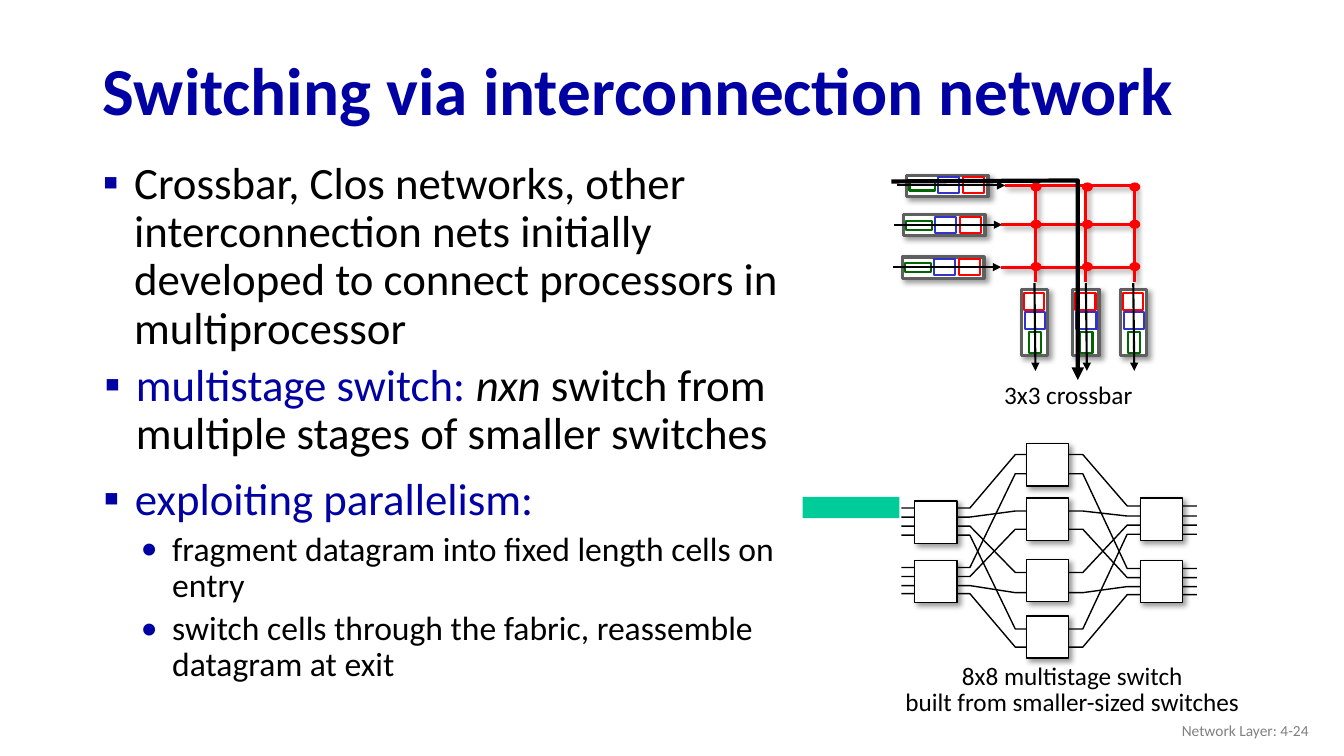
from dataclasses import dataclass
from itertools import product

from lxml import etree
from pptx import Presentation
from pptx import util as u
from pptx.dml.color import RGBColor
from pptx.enum import shapes as kinds, text as layout
from pptx.oxml import ns


@dataclass(frozen=True)
class Theme:
    font: str = "Calibri"
    navy: str = "0000A3"
    black: str = "000000"
    white: str = "FFFFFF"
    grey: str = "808080"
    frame: str = "5F5F5F"
    red: str = "FF0000"
    blue: str = "3333CC"
    green: str = "006600"
    cell: str = "00CC99"
    title_size: int = 48
    list_size: int = 32
    sublist_size: int = 24
    caption_size: int = 18
    footer_size: int = 11


# Square grid: 133.3 columns by 75 rows
COLUMNS, ROWS = 133.3, 75
WIDTH, HEIGHT = u.Inches(13.33), u.Inches(7.5)


def set_format(target, values):
    for name, value in values.items():
        setattr(target, name, value)


def add_xml(parent, tag, **attributes):
    return etree.SubElement(parent, ns.qn(tag), attributes)


class Canvas:
    """Draws on one slide, in grid columns and rows, with one theme."""

    def __init__(self, slide, theme):
        self.slide, self.theme = slide, theme
        self.shapes = slide.shapes

    def start_group(self):
        self.shapes = self.slide.shapes.add_group_shape().shapes

    def end_group(self):
        self.shapes = self.slide.shapes

    def point(self, column, row):
        return round(column / COLUMNS * WIDTH), round(row / ROWS * HEIGHT)

    def frame(self, column, row, columns, rows):
        return *self.point(column, row), *self.point(columns, rows)

    def place(self, shape, box):
        set_format(shape, dict(zip(("left", "top", "width", "height"), self.frame(*box))))
        return shape

    # Outlines and effects
    def stroke(self, shape, color, width, arrow=False):
        shape.line.color.rgb = RGBColor.from_string(color)
        shape.line.width = u.Pt(width)
        if arrow:
            line = shape._element.spPr.find(ns.qn("a:ln"))
            add_xml(line, "a:tailEnd", type="triangle")

    def add_shadow(self, effects):
        shadow = add_xml(effects, "a:outerShdw", blurRad=str(u.Pt(4)), dist=str(u.Pt(3)),
                         dir="2700000", algn="ctr", rotWithShape="0")
        color = add_xml(shadow, "a:srgbClr", val=self.theme.black)
        add_xml(color, "a:alpha", val="40000")

    # Drawing elements
    def box(self, box, fill, line=None, width=1, shadow=False, rotation=0, oval=False):
        kind = kinds.MSO_SHAPE.OVAL if oval else kinds.MSO_SHAPE.RECTANGLE
        shape = self.shapes.add_shape(kind, *self.frame(*box))
        shape.rotation = rotation
        shape.fill.solid()
        shape.fill.fore_color.rgb = RGBColor.from_string(fill)
        if line:
            self.stroke(shape, line, width)
        else:
            shape.line.fill.background()
        shape.shadow.inherit = False
        if shadow:
            self.add_shadow(shape._element.spPr.find(ns.qn("a:effectLst")))

    def line(self, start, end, color, width, arrow=False, shadow=False):
        connector = self.shapes.add_connector(
            kinds.MSO_CONNECTOR.STRAIGHT, *self.point(*start), *self.point(*end))
        self.stroke(connector, color, width, arrow)
        effects = add_xml(connector._element.spPr, "a:effectLst")
        if shadow:
            self.add_shadow(effects)

    def polyline(self, points, width, arrow=False):
        first, *rest = [self.point(*point) for point in points]
        builder = self.shapes.build_freeform(*first)
        builder.add_line_segments(rest, close=False)
        shape = builder.convert_to_shape()
        shape.fill.background()
        self.stroke(shape, self.theme.black, width, arrow)
        shape.shadow.inherit = False

    def queue(self, column, row, parts, arrow, rotation=0):
        """A framed queue of packets; parts and arrow are offsets from its corner."""
        for index, (dx, dy, columns, rows, color) in enumerate(parts):
            is_frame = index == 0
            self.box((column + dx, row + dy, columns, rows), self.theme.white, color,
                     2.25 if is_frame else 1.5, shadow=is_frame, rotation=rotation)
        start, end = [(column + dx, row + dy) for dx, dy in arrow]
        self.line(start, end, self.theme.black, 1.5, arrow=True)

    # Text elements
    def fill_paragraph(self, paragraph, runs, size, bold=False, **values):
        set_format(paragraph, values)
        for words, color, *italic in runs:
            run = paragraph.add_run()
            run.text = words
            set_format(run.font, {"name": self.theme.font, "size": u.Pt(size),
                                  "bold": bold, "italic": bool(italic)})
            run.font.color.rgb = RGBColor.from_string(color)

    def textbox(self, box):
        shape = self.shapes.add_textbox(*self.frame(*box))
        shape.text_frame.word_wrap = True
        return shape

    def title(self, box, words):
        shape = self.place(self.slide.shapes.title, box)
        set_format(shape.text_frame, {"auto_size": layout.MSO_AUTO_SIZE.NONE,
                                      "vertical_anchor": layout.MSO_ANCHOR.MIDDLE})
        self.fill_paragraph(shape.text_frame.paragraphs[0], [(words, self.theme.navy)],
                            self.theme.title_size, bold=True, line_spacing=0.9,
                            alignment=layout.PP_ALIGN.LEFT)

    def bullets(self, shape, items):
        """Items are (level, runs)."""
        frame = shape.text_frame
        frame.auto_size = layout.MSO_AUTO_SIZE.NONE
        for index, (level, runs) in enumerate(items):
            paragraph = frame.add_paragraph() if index else frame.paragraphs[0]
            size = self.theme.sublist_size if level else self.theme.list_size
            self.fill_paragraph(paragraph, runs, size, level=level, line_spacing=0.9,
                                space_before=u.Pt(5 if level else 10))
            properties = paragraph._p.get_or_add_pPr()
            properties.set("marL", str(u.Inches(0.76 if level else 0.39)))
            properties.set("indent", str(u.Inches(-0.31)))
            color = add_xml(properties, "a:buClr")
            add_xml(color, "a:srgbClr", val=self.theme.navy)
            add_xml(properties, "a:buFont", typeface=self.theme.font)
            add_xml(properties, "a:buChar", char="•" if level else "▪")

    def caption(self, box, *lines):
        frame = self.textbox(box).text_frame
        set_format(frame, {"word_wrap": False,
                           "auto_size": layout.MSO_AUTO_SIZE.SHAPE_TO_FIT_TEXT})
        for index, words in enumerate(lines):
            paragraph = frame.add_paragraph() if index else frame.paragraphs[0]
            self.fill_paragraph(paragraph, [(words, self.theme.black)], self.theme.caption_size,
                                line_spacing=0.85, alignment=layout.PP_ALIGN.CENTER)

    def footer(self, box, words):
        frame = self.textbox(box).text_frame
        frame.vertical_anchor = layout.MSO_ANCHOR.MIDDLE
        self.fill_paragraph(frame.paragraphs[0], [(words, self.theme.grey)],
                            self.theme.footer_size, alignment=layout.PP_ALIGN.RIGHT)


def draw_crossbar(canvas):
    theme = canvas.theme
    input_parts = [(0, 0, 8.1, 2.1, theme.frame), (0.3, 0.6, 2.5, 0.9, theme.green),
                   (3.15, 0.2, 2.1, 1.6, theme.blue), (5.6, 0.2, 2.1, 1.6, theme.red)]
    output_parts = [(0, 0, 6.6, 2.6, theme.frame), (2.3, 2.7, 2.1, 1.2, theme.green),
                    (2.5, 0.1, 1.7, 2, theme.blue), (2.4, -1.8, 1.7, 2, theme.red)]
    canvas.start_group()
    for column, row in ((89.9, 17.4), (89.6, 21.3), (89.5, 25.5)):
        canvas.queue(column, row, input_parts, ((-0.9, 1), (9.8, 1)))
    for column in (109.1, 104.4, 99.3):
        canvas.queue(column, 30.7, output_parts, ((3.3, -2.6), (3.4, 6.1)), rotation=90)
    # Buses and crosspoints
    for start, row in ((99.7, 18.4), (99.3, 22.3), (99.3, 26.5)):
        canvas.line((start, row), (112.5, row), theme.red, 2.25, shadow=True)
    for column in (102.7, 107.7, 112.5):
        canvas.line((column, 28), (column, 18.4), theme.red, 2.25, shadow=True)
    for column, row in product((102.2, 107.3, 112), (18.1, 21.8, 26)):
        canvas.box((column, row, 1.1, 0.9), theme.red, oval=True)
    # Active route
    canvas.polyline([(88.4, 18), (106.9, 17.9), (106.9, 37.7)], 3, arrow=True)
    canvas.end_group()


def draw_multistage(canvas):
    theme = canvas.theme
    bends = (89.4, 96.2, 100.7, 107.4, 111.8, 118.7)
    wires = [(50.4, 45.1, 50.2), (58.9, 64.2, 59), (51.3, 50.7, 51.2), (58.1, 58.8, 58.2),
             (52.2, 56.8, 52.1), (57.2, 52.5, 57.3), (53.1, 62.4, 53), (56.3, 47, 56.4)]
    stages = {90.7: (49.7, 55.6), 101.8: (44, 49.4, 55.5, 61.1), 113.1: (55.6, 49.4)}
    canvas.start_group()
    for wire in wires:
        rows = [row for row in wire for _ in range(2)]
        canvas.polyline(list(zip(bends, rows)), 1)
    for column, rows in stages.items():
        for row in rows:
            canvas.box((column, row, 4.2, 4.2), theme.white, theme.black, shadow=True)
    canvas.caption((88.6, 65.5, 35.5, 6.2),
                   "8x8 multistage switch", "built from smaller-sized switches")
    canvas.end_group()


def main():
    presentation = Presentation()
    set_format(presentation, {"slide_width": WIDTH, "slide_height": HEIGHT})
    slide = presentation.slides.add_slide(presentation.slide_layouts[1])
    theme = Theme()
    canvas = Canvas(slide, theme)

    # Title and list
    canvas.title((9.2, 4.4, 115, 9.8), "Switching via interconnection network")
    body = canvas.place(slide.placeholders[1], (8.4, 15.4, 70.8, 55.8))
    canvas.bullets(body, [(0, [("Crossbar, Clos networks, other interconnection nets initially "
                                "developed to connect processors in multiprocessor", theme.black)])])
    draw_crossbar(canvas)
    draw_multistage(canvas)
    canvas.bullets(canvas.textbox((8.6, 35.5, 70.8, 12)), [
        (0, [("multistage switch: ", theme.navy), ("nxn", theme.black, True),
             (" switch from multiple stages of smaller switches", theme.black)])])
    canvas.bullets(canvas.textbox((8.5, 46.8, 70.8, 23.2)), [
        (0, [("exploiting parallelism:", theme.navy)]),
        (1, [("fragment datagram into fixed length cells on entry", theme.black)]),
        (1, [("switch cells through the fabric, reassemble datagram at exit", theme.black)])])

    # Crossbar caption, datagram cells and footer
    canvas.caption((98.5, 37.6, 14.9, 3.6), "3x3 crossbar")
    for index in range(3):
        canvas.box((79.6 + 3.2 * index, 49.3, 3.2, 2.1), theme.cell)
    canvas.footer((100.8, 70.5, 30, 4), "Network Layer: 4-24")
    presentation.save("out.pptx")


if __name__ == "__main__":
    main()
